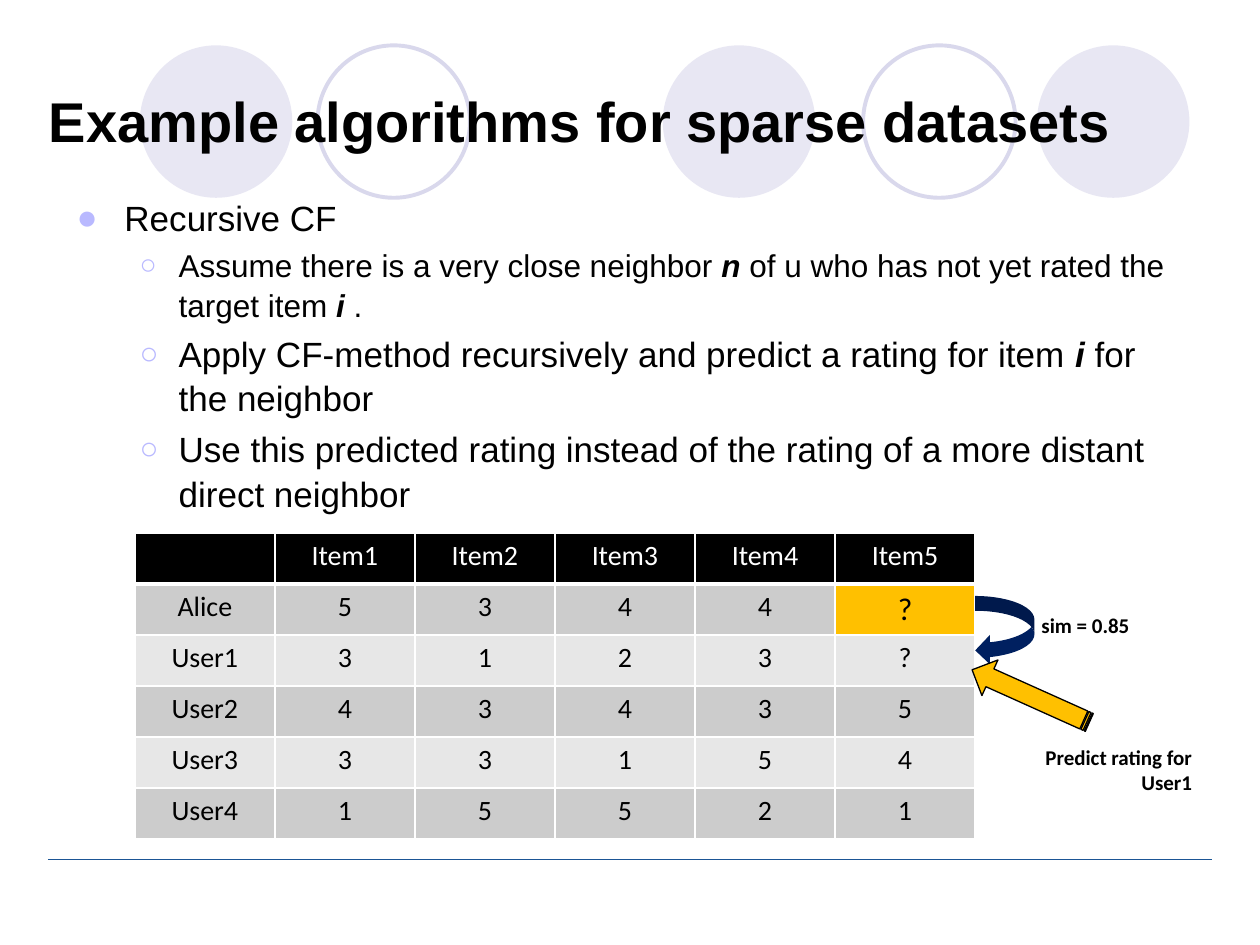
from dataclasses import dataclass
from typing import Optional

import pptx
import pptx.dml.color
import pptx.enum.shapes
import pptx.enum.text
import pptx.oxml
import pptx.oxml.ns
import pptx.util

RGBColor = pptx.dml.color.RGBColor
MSO_SHAPE = pptx.enum.shapes.MSO_SHAPE
PP_ALIGN = pptx.enum.text.PP_ALIGN
MSO_ANCHOR = pptx.enum.text.MSO_ANCHOR
Pt = pptx.util.Pt

BLACK = RGBColor(0x00, 0x00, 0x00)
WHITE = RGBColor(0xFF, 0xFF, 0xFF)
LILAC = RGBColor(0xE8, 0xE7, 0xF3)
LILAC_LINE = RGBColor(0xD9, 0xD8, 0xEC)
BULLET = RGBColor(0xB9, 0xB9, 0xFF)
RULE_BLUE = RGBColor(0x1B, 0x55, 0x95)
NAVY = RGBColor(0x00, 0x20, 0x60)
AMBER = RGBColor(0xFF, 0xC0, 0x00)
BAND_DARK = RGBColor(0xCC, 0xCC, 0xCC)
BAND_LIGHT = RGBColor(0xE7, 0xE7, 0xE7)

SLIDE_W, SLIDE_H = pptx.util.Inches(10), pptx.util.Inches(7.5)


@dataclass
class Box:
    """A frame in percent of the slide's width and height."""
    x: float
    y: float
    w: float
    h: float

    def emu(self) -> tuple[int, int, int, int]:
        return (round(self.x * SLIDE_W / 100), round(self.y * SLIDE_H / 100),
                round(self.w * SLIDE_W / 100), round(self.h * SLIDE_H / 100))


@dataclass
class Text:
    text: str
    size: float
    font: str = "Arial"
    bold: bool = False
    italic: bool = False
    color: RGBColor = BLACK


@dataclass
class Bullet:
    char: str
    margin: float
    hang: float
    percent: int


TOP = Bullet("●", 0.38, 0.38, 100)
SUB = Bullet("○", 0.81, 0.31, 90)


def add_runs(p, *runs: Text) -> None:
    for item in runs:
        r = p.add_run()
        r.text = item.text
        r.font.size = Pt(item.size)
        r.font.name = item.font
        r.font.bold = item.bold
        r.font.italic = item.italic
        r.font.color.rgb = item.color


def add_shape(s, kind, box: Box, fill: Optional[RGBColor] = None,
              line: Optional[RGBColor] = None, width: float = 0.75):
    sp = s.shapes.add_shape(kind, *box.emu())
    sp.shadow.inherit = False
    if fill is None:
        sp.fill.background()
    else:
        sp.fill.solid()
        sp.fill.fore_color.rgb = fill
    if line is None:
        sp.line.fill.background()
    else:
        sp.line.color.rgb = line
        sp.line.width = Pt(width)
    return sp


def add_text_frame(s, box: Box, wrap: bool = True, anchor=MSO_ANCHOR.TOP):
    tf = s.shapes.add_textbox(*box.emu()).text_frame
    tf.word_wrap = wrap
    tf.vertical_anchor = anchor
    return tf


def set_bullet(p, bullet: Bullet) -> None:
    pPr = p._p.get_or_add_pPr()
    pPr.set("marL", str(pptx.util.Inches(bullet.margin)))
    pPr.set("indent", str(-pptx.util.Inches(bullet.hang)))
    ns = pptx.oxml.ns.nsdecls("a")
    for xml in (f'<a:buClr {ns}><a:srgbClr val="{BULLET}"/></a:buClr>',
                f'<a:buSzPct {ns} val="{bullet.percent * 1000}"/>',
                f'<a:buFont {ns} typeface="Arial"/>',
                f'<a:buChar {ns} char="{bullet.char}"/>'):
        pPr.append(pptx.oxml.parse_xml(xml))


def set_borders(cell, **widths: float) -> None:
    tcPr = cell._tc.get_or_add_tcPr()
    for side in "LRTB":
        tcPr.append(pptx.oxml.parse_xml(
            f'<a:ln{side} {pptx.oxml.ns.nsdecls("a")} w="{Pt(widths.get(side, 1))}">'
            f'<a:solidFill><a:srgbClr val="{WHITE}"/></a:solidFill></a:ln{side}>'))


def add_ratings(s, box: Box, rows: list[list[str]]) -> None:
    n_rows, n_cols = len(rows), len(rows[0])
    frame = s.shapes.add_table(n_rows, n_cols, *box.emu())
    for i, row in enumerate(rows):
        for j, value in enumerate(row):
            cell = frame.table.cell(i, j)
            header, target = i == 0, (i, j) == (1, n_cols - 1)
            set_borders(cell, T=3 if i == 1 else 1, B=3 if header else 1)
            band = BAND_DARK if i % 2 else BAND_LIGHT
            cell.fill.solid()
            cell.fill.fore_color.rgb = BLACK if header else AMBER if target else band
            p = cell.text_frame.paragraphs[0]
            p.alignment = PP_ALIGN.CENTER
            if value:
                add_runs(p, Text(value, 18 if target else 16, "Calibri",
                                 color=WHITE if header else BLACK))


def main() -> None:
    prs = pptx.Presentation()
    prs.slide_width, prs.slide_height = SLIDE_W, SLIDE_H
    s = prs.slides.add_slide(prs.slide_layouts[6])

    # Row of background circles
    for x in (52.6, 82.3, 11.1):
        add_shape(s, MSO_SHAPE.OVAL, Box(x, 4.8, 12.1, 16.13), fill=LILAC)
    for x in (68.5, 25.2):
        add_shape(s, MSO_SHAPE.OVAL, Box(x, 4.8, 12.1, 16.13), line=LILAC_LINE, width=2.25)

    # Footer rule
    x, y, w, _ = Box(3.8, 90.93, 92.4, 0).emu()
    rule = s.shapes.add_connector(pptx.enum.shapes.MSO_CONNECTOR.STRAIGHT, x, y, x + w, y)
    rule.line.color.rgb = RULE_BLUE
    rule.line.width = Pt(0.75)
    rule._element.spPr.append(pptx.oxml.parse_xml(
        f'<a:effectLst {pptx.oxml.ns.nsdecls("a")}/>'))

    # Title
    tf = add_text_frame(s, Box(2.9, 4.4, 91.5, 16.67), anchor=MSO_ANCHOR.MIDDLE)
    add_runs(tf.paragraphs[0], Text("Example algorithms for sparse datasets", 32, bold=True))

    # Bulleted body; odd pieces of a line are the emphasised variables
    body = [
        (TOP, 20, ["Recursive CF"]),
        (SUB, 18, ["Assume there is a very close neighbor ", "n",
                   " of u who has not yet rated the target item ", "i", " ."]),
        (SUB, 20, ["Apply CF-method recursively and predict a rating for item ", "i",
                   " for the neighbor"]),
        (SUB, 20, ["Use this predicted rating instead of the rating of a more distant "
                   "direct neighbor"]),
    ]
    tf = add_text_frame(s, Box(5.1, 19.87, 90, 69.87))
    for k, (bullet, size, pieces) in enumerate(body):
        p = tf.add_paragraph() if k else tf.paragraphs[0]
        set_bullet(p, bullet)
        p.line_spacing = 1.05
        if k:
            p.level = 1
            p.space_before = Pt(size * 0.2)
        add_runs(p, *(Text(piece, size, bold=n % 2 == 1, italic=n % 2 == 1)
                      for n, piece in enumerate(pieces)))

    # Rating matrix
    add_ratings(s, Box(10.7, 56.4, 66.7, 32.4), [
        ["", "Item1", "Item2", "Item3", "Item4", "Item5"],
        ["Alice", "5", "3", "4", "4", "?"],
        ["User1", "3", "1", "2", "3", "?"],
        ["User2", "4", "3", "4", "3", "5"],
        ["User3", "3", "3", "1", "5", "4"],
        ["User4", "1", "5", "5", "2", "1"],
    ])

    # Similarity arrow and label
    add_shape(s, MSO_SHAPE.CURVED_LEFT_ARROW, Box(77.4, 63.07, 4.7, 7.33), fill=NAVY)
    tf = add_text_frame(s, Box(81.6, 64.13, 9.1, 4), wrap=False)
    tf.paragraphs[0].alignment = PP_ALIGN.CENTER
    add_runs(tf.paragraphs[0], Text("sim = 0.85", 12, "Calibri", bold=True))

    # Prediction arrow and label
    sp = add_shape(s, MSO_SHAPE.STRIPED_RIGHT_ARROW, Box(76.7, 71.6, 10.2, 4.13), AMBER, BLACK)
    sp.rotation = 204.2
    sp = add_shape(s, MSO_SHAPE.RECTANGLE, Box(80.8, 78.13, 14.8, 6.67), fill=WHITE)
    tf = sp.text_frame
    tf.word_wrap = True
    tf.vertical_anchor = MSO_ANCHOR.TOP
    for k, line in enumerate(("Predict rating for", "User1")):
        p = tf.add_paragraph() if k else tf.paragraphs[0]
        p.alignment = PP_ALIGN.RIGHT
        add_runs(p, Text(line, 12, "Calibri", bold=True))

    prs.save("out.pptx")


if __name__ == "__main__":
    main()
